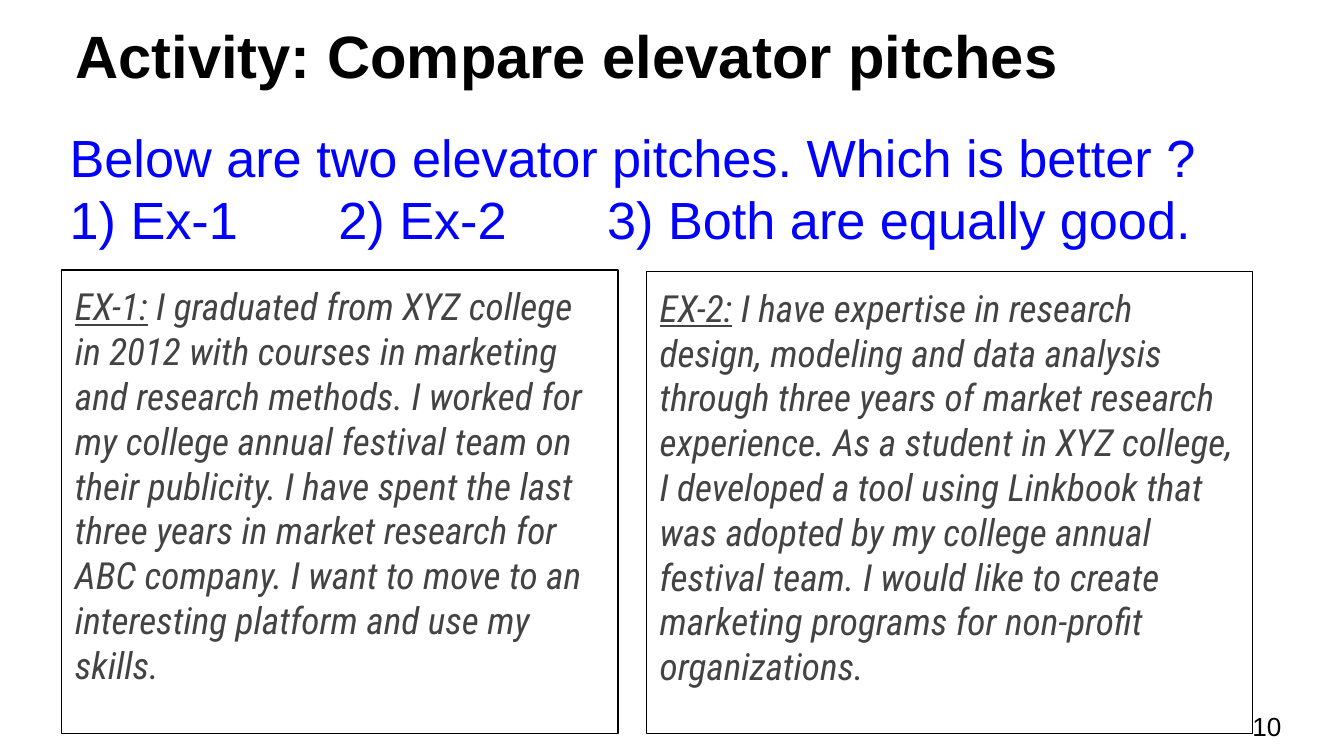
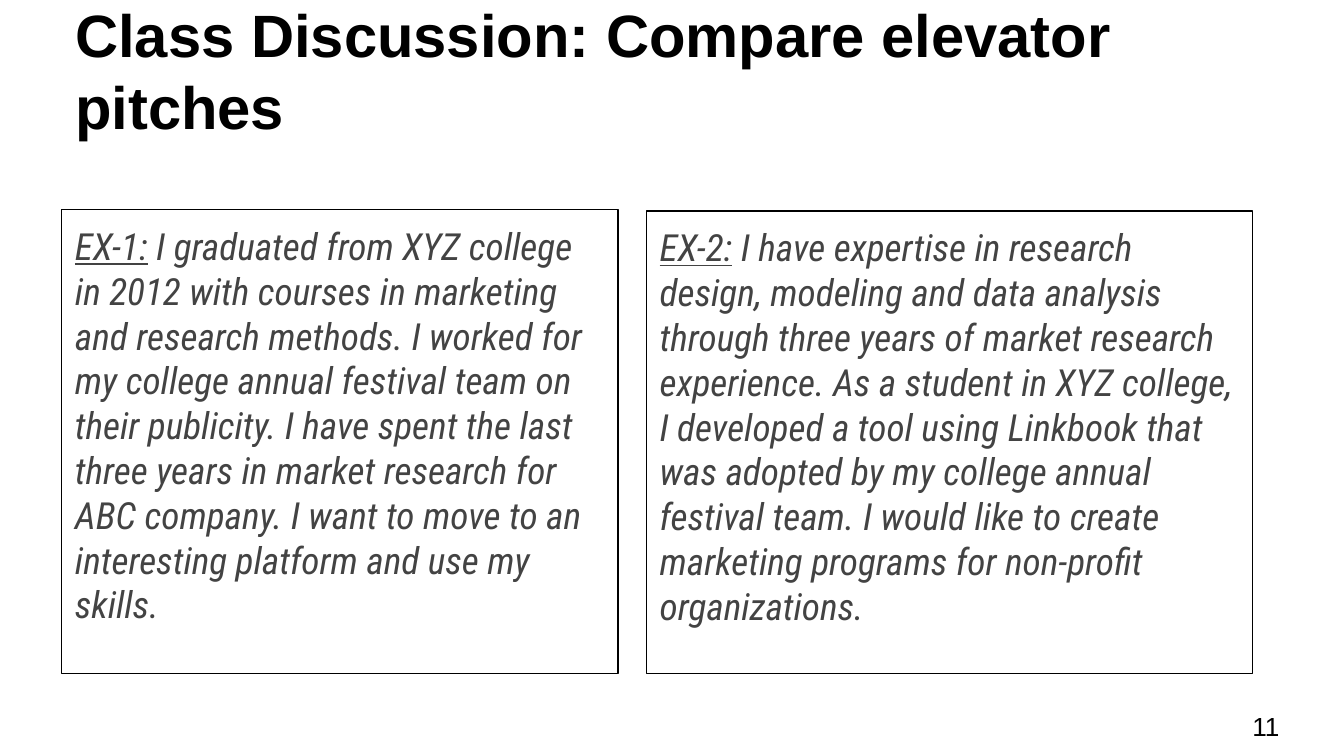
import pptx
import pptx.util
import pptx.dml.color
import pptx.enum.shapes
import pptx.enum.text
import pptx.oxml.ns
import lxml.etree

Inches = pptx.util.Inches
Pt = pptx.util.Pt
ANCHOR = pptx.enum.text.MSO_ANCHOR
COLORS = {"black": "000000", "question": "0000FF", "pitch": "434343"}

PITCHES = [
    {"label": "EX-1:", "left": 0.46, "drop": 0, "width": 4.14, "height": 3.45,
     "text": " I graduated from XYZ college in 2012 with courses in marketing and research methods. "
             "I worked for my college annual festival team on their publicity. I have spent the last "
             "three years in market research for ABC company. I want to move to an interesting "
             "platform and use my skills."},
    {"label": "EX-2:", "left": 4.81, "drop": 0.01, "width": 4.51, "height": 3.44,
     "text": " I have expertise in research design, modeling and data analysis through three years "
             "of market research experience. As a student in XYZ college, I developed a tool using "
             "Linkbook that was adopted by my college annual festival team. I would like to create "
             "marketing programs for non-profit organizations."},
]

SLIDES = [
    {"title": "Activity: Compare elevator pitches", "title_box": (0.46, 0.08, 8.06, 0.66),
     "question": ["Below are two elevator pitches. Which is better ?",
                  "1) Ex-1\t2) Ex-2\t3) Both are equally good."],
     "number": "10", "pitch_top": 2.01},
    {"title": "Class Discussion: Compare elevator pitches", "title_box": (0.46, 0.23, 9.26, 0.58),
     "question": [], "number": "11", "pitch_top": 1.56},
]


def write_text(shape, paragraphs, size, color, font="Arial", bold=False, italic=False,
               anchor=ANCHOR.TOP, tabs=()):
    frame = shape.text_frame
    frame.word_wrap = True
    frame.auto_size = pptx.enum.text.MSO_AUTO_SIZE.NONE
    frame.vertical_anchor = anchor
    frame.margin_left = frame.margin_right = Inches(0.1)
    frame.margin_top = frame.margin_bottom = Inches(0.1)
    for index, runs in enumerate(paragraphs):
        paragraph = frame.add_paragraph() if index else frame.paragraphs[0]
        paragraph.alignment = pptx.enum.text.PP_ALIGN.LEFT
        paragraph.line_spacing = 1.0
        paragraph.space_before = Pt(0)
        if tabs:
            properties = paragraph._p.get_or_add_pPr()
            tab_list = lxml.etree.SubElement(properties, pptx.oxml.ns.qn("a:tabLst"))
            for position in tabs:
                lxml.etree.SubElement(tab_list, pptx.oxml.ns.qn("a:tab"),
                                      pos=str(Inches(position)), algn="l")
        for text, underline in runs:
            run = paragraph.add_run()
            run.text = text
            run.font.name = font
            run.font.size = Pt(size)
            run.font.bold = bold
            run.font.italic = italic
            run.font.underline = underline
            run.font.color.rgb = pptx.dml.color.RGBColor.from_string(COLORS[color])


presentation = pptx.Presentation()
presentation.slide_width = Inches(10)
presentation.slide_height = Inches(10 * 9 / 16)
title_only = presentation.slide_layouts[5]

for content in SLIDES:
    slide = presentation.slides.add_slide(title_only)
    title = slide.shapes.title
    title.left, title.top, title.width, title.height = map(Inches, content["title_box"])
    write_text(title, [[(content["title"], False)]], 32, "black", bold=True, anchor=ANCHOR.MIDDLE)

    if content["question"]:
        question = slide.shapes.add_textbox(Inches(0.42), Inches(0.83), Inches(8.6), Inches(0.9))
        write_text(question, [[(line, False)] for line in content["question"]], 28, "question",
                   tabs=(2, 4))

    number = slide.shapes.add_textbox(Inches(9.22), Inches(5.19), Inches(0.5), Inches(0.43))
    write_text(number, [[(content["number"], False)]], 14, "black", anchor=ANCHOR.MIDDLE)

    for pitch in PITCHES:
        box = slide.shapes.add_shape(
            pptx.enum.shapes.MSO_SHAPE.RECTANGLE, Inches(pitch["left"]),
            Inches(content["pitch_top"] + pitch["drop"]),
            Inches(pitch["width"]), Inches(pitch["height"]))
        box.shadow.inherit = False
        box.fill.background()
        box.line.color.rgb = pptx.dml.color.RGBColor.from_string(COLORS["black"])
        box.line.width = Pt(0.75)
        write_text(box, [[(pitch["label"], True), (pitch["text"], False)]], 20, "pitch",
                   font="Roboto Condensed", italic=True)

presentation.save("out.pptx")
